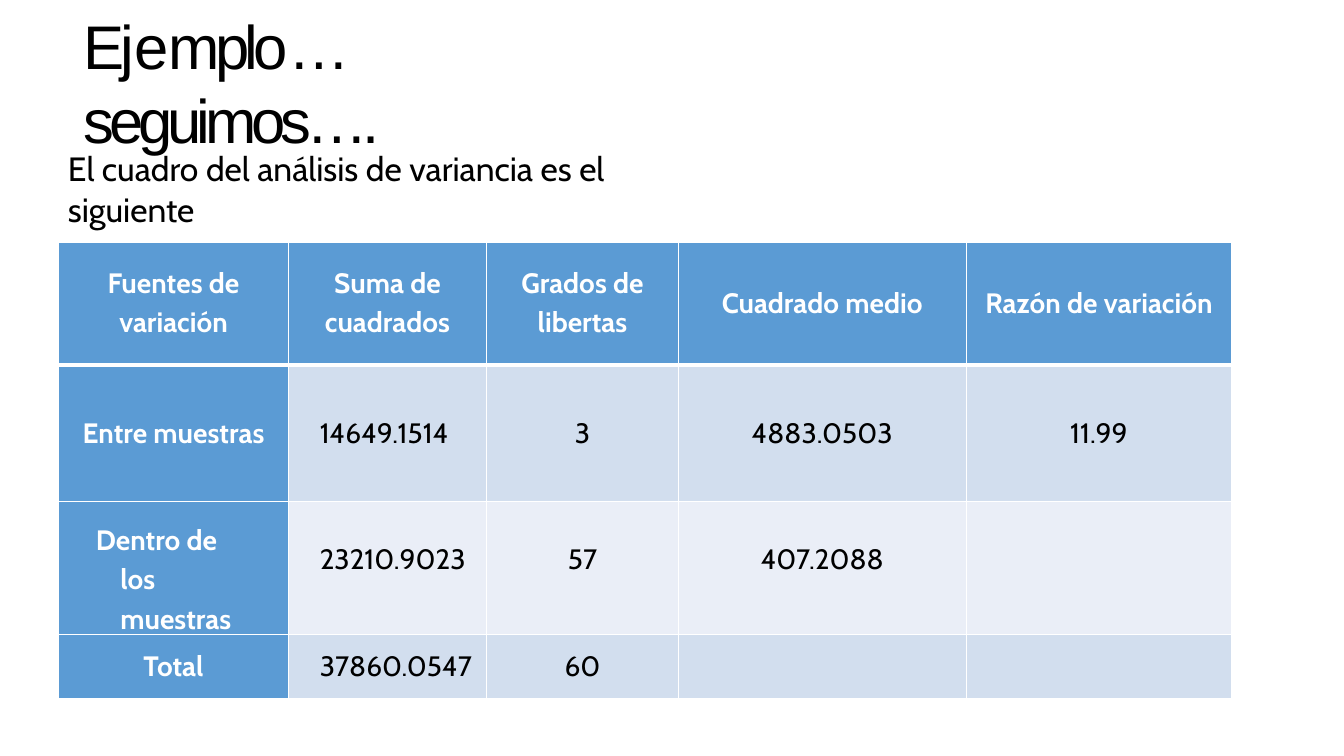
from dataclasses import dataclass

from lxml.etree import SubElement
from pptx import Presentation
from pptx.dml.color import RGBColor as RGB
from pptx.enum.text import MSO_ANCHOR as ANCHOR, MSO_AUTO_SIZE as AUTO, PP_ALIGN as ALIGN
from pptx.oxml.ns import qn
from pptx.util import Pt


@dataclass(frozen=True)
class Theme:
    title_font: str = "Arial"
    body_font: str = "Cabin"
    title_size: int = 44
    intro_size: int = 24
    cell_size: int = 20
    ink: RGB = RGB(0, 0, 0)
    white: RGB = RGB(255, 255, 255)
    head: RGB = RGB(0x5B, 0x9B, 0xD4)
    bands: tuple = (RGB(0xD2, 0xDE, 0xEE), RGB(0xEA, 0xEE, 0xF7))


THEME = Theme()

TITLE = [("Ej", -310), ("e", -410), ("mplo", -340), ("…\t", -600), ("seguimos….", -370)]
INTRO = "El cuadro del análisis de variancia es el siguiente"
ROWS = [
    ["Fuentes de\nvariación", "Suma de\ncuadrados", "Grados de\nlibertas",
     "Cuadrado medio", "Razón de variación"],
    ["Entre muestras", "14649.1514", "3", "4883.0503", "11.99"],
    ["Dentro de los muestras", "23210.9023", "57", "407.2088", ""],
    ["Total", "37860.0547", "60", "", ""],
]
COL_WIDTHS = [163.9, 141.8, 136.8, 205.7, 189.6]
ROW_HEIGHTS = [87.8, 97.9, 94.5, 45.4]
SUM_COL, WITHIN_ROW = 1, 2


def add_run(p, text, font, size, color, bold=False, spacing=0):
    """Add a run; spacing is in hundredths of a point."""
    r = p.add_run()
    r.text = text
    r.font.name, r.font.size, r.font.bold = font, Pt(size), bold
    r.font.color.rgb = color
    if spacing:
        r._r.get_or_add_rPr().set("spc", str(spacing))


def set_indent(p, left, first=0):
    pPr = p._p.get_or_add_pPr()
    pPr.set("marL", str(Pt(left)))
    pPr.set("indent", str(Pt(first)))


def add_text_box(slide, x, y, w, h):
    tf = slide.shapes.add_textbox(Pt(x), Pt(y), Pt(w), Pt(h)).text_frame
    tf.word_wrap, tf.auto_size = True, AUTO.SHAPE_TO_FIT_TEXT
    tf.margin_left = tf.margin_right = tf.margin_bottom = 0
    tf.margin_top = Pt(1)
    return tf


def add_title(slide, x, y, w, h):
    p = add_text_box(slide, x, y, w, h).paragraphs[0]
    set_indent(p, 1)
    tabs = SubElement(p._p.get_or_add_pPr(), qn("a:tabLst"))
    SubElement(tabs, qn("a:tab"), pos=str(Pt(194.4)), algn="l")
    for text, spacing in TITLE:
        add_run(p, text, THEME.title_font, THEME.title_size, THEME.ink, spacing=spacing)


def add_intro(slide, x, y, w, h):
    p = add_text_box(slide, x, y, w, h).paragraphs[0]
    set_indent(p, 1)
    add_run(p, INTRO, THEME.body_font, THEME.intro_size, THEME.ink)


def set_borders(cell, widths):
    tcPr = cell._tc.get_or_add_tcPr()
    for side, width in zip("LRTB", widths):
        ln = SubElement(tcPr, qn(f"a:ln{side}"), w=str(Pt(width)))
        fill = SubElement(ln, qn("a:solidFill"))
        SubElement(fill, qn("a:srgbClr"), val=str(THEME.white))


def fill_cell(cell, text, row, col):
    is_head = row == 0 or col == 0
    set_borders(cell, (1, 1, 3 if row == 1 else 1, 3 if row == 0 else 1))
    cell.fill.solid()
    cell.fill.fore_color.rgb = THEME.head if is_head else THEME.bands[(row - 1) % 2]
    cell.margin_left = cell.margin_right = cell.margin_top = cell.margin_bottom = 0
    cell.vertical_anchor = ANCHOR.MIDDLE
    if not text:
        return
    tf = cell.text_frame
    for i, line in enumerate(text.split("\n")):
        p = tf.add_paragraph() if i else tf.paragraphs[0]
        if i:
            p.space_before = Pt(3.6)
        p.alignment = ALIGN.CENTER
        add_run(p, line, THEME.body_font, THEME.cell_size,
                THEME.white if is_head else THEME.ink, bold=is_head)
    first = tf.paragraphs[0]
    if col == SUM_COL and not is_head:
        first.alignment = ALIGN.LEFT
        set_indent(first, 22.5)
    if row == WITHIN_ROW:
        if is_head:
            cell.vertical_anchor = ANCHOR.TOP
            cell.margin_top, cell.margin_right = Pt(12), Pt(36)
            first.alignment, first.line_spacing = ALIGN.LEFT, 1.15
            set_indent(first, 44, -17.5)
        else:
            cell.margin_bottom = Pt(12)


def add_variance_table(slide, x, y, w, h):
    table = slide.shapes.add_table(len(ROWS), len(COL_WIDTHS),
                                   Pt(x), Pt(y), Pt(w), Pt(h)).table
    for column, width in zip(table.columns, COL_WIDTHS):
        column.width = Pt(width)
    for row, height in zip(table.rows, ROW_HEIGHTS):
        row.height = Pt(height)
    for i, texts in enumerate(ROWS):
        for j, text in enumerate(texts):
            fill_cell(table.cell(i, j), text, i, j)


def main():
    prs = Presentation()
    prs.slide_width, prs.slide_height = Pt(960), Pt(540)
    slide = prs.slides.add_slide(prs.slide_layouts[6])
    add_intro(slide, 47.5, 105, 469.5, 31)
    add_title(slide, 59, 5, 403, 54.7)
    add_variance_table(slide, 42, 172.8, sum(COL_WIDTHS), sum(ROW_HEIGHTS))
    prs.save("out.pptx")


if __name__ == "__main__":
    main()
